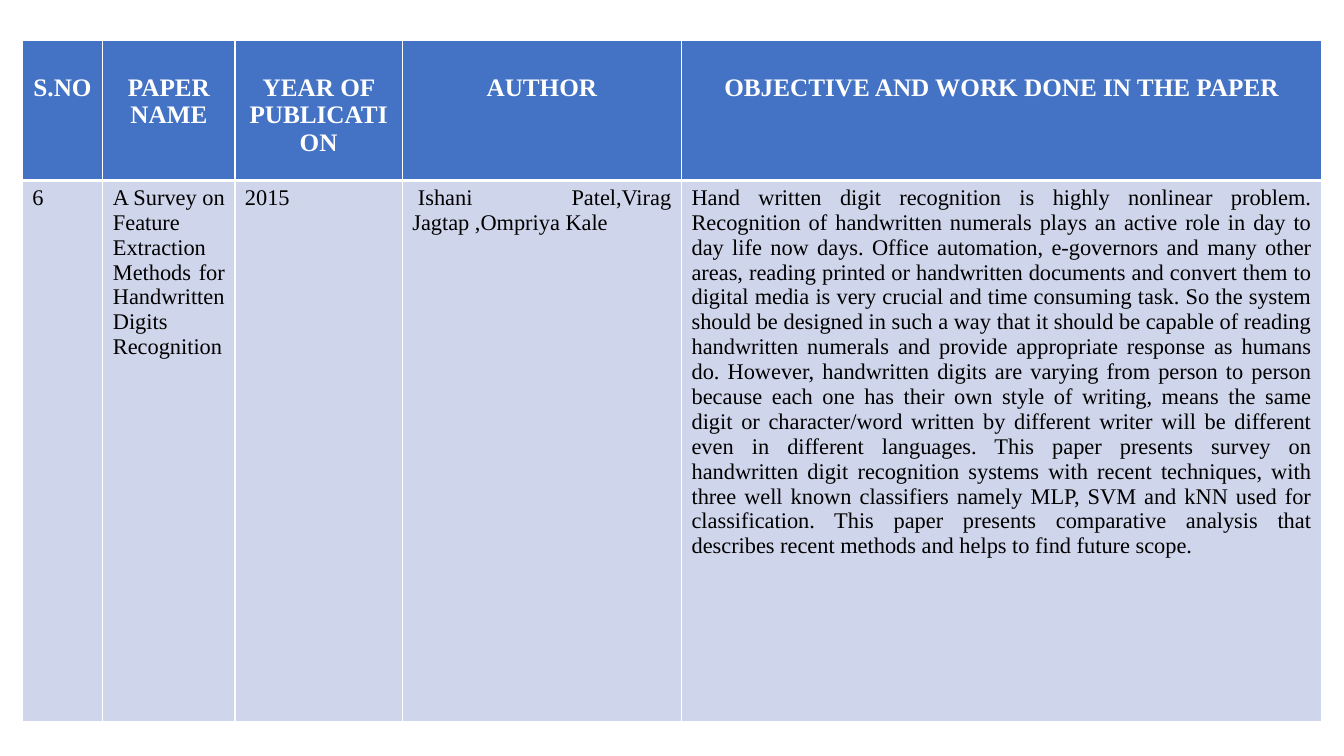
"""Build a slide with a one-row literature survey table."""
from lxml.etree import SubElement
from pptx import Presentation
from pptx.dml.color import RGBColor
from pptx.enum.text import PP_ALIGN as Align
from pptx.oxml.ns import qn
from pptx.util import Inches, Pt

WHITE = RGBColor(0xFF, 0xFF, 0xFF)
BLACK = RGBColor(0x00, 0x00, 0x00)
BLUE = RGBColor(0x44, 0x72, 0xC4)
PALE_BLUE = RGBColor(0xCF, 0xD5, 0xEA)

HEADER = {
    "fill": BLUE,
    "color": WHITE,
    "align": Align.CENTER,
    "font": {"name": "Times New Roman", "size": Pt(18), "bold": True},
    "cell": {"margin_top": Inches(0.33)},
    "borders": {"L": 1, "R": 1, "T": 1, "B": 3},
}
BODY = {
    "fill": PALE_BLUE,
    "color": BLACK,
    "align": Align.JUSTIFY,
    "font": {"name": "Times New Roman", "size": Pt(16), "bold": False},
    "cell": {"margin_top": Inches(0.05)},
    "borders": {"L": 1, "R": 1, "T": 3, "B": 1},
}

COLUMN_WIDTHS = [0.8, 1.31, 1.66, 2.77, 6.35]
ROW_HEIGHTS = [1.39, 5.37]
HEADINGS = [
    "S.NO",
    "PAPER NAME",
    "YEAR OF PUBLICATION",
    "AUTHOR",
    "OBJECTIVE AND WORK DONE IN THE PAPER",
]
OBJECTIVE = [
    "Hand written digit recognition is highly nonlinear problem.",
    "Recognition of handwritten numerals plays an active role in day to day life now "
    "days.",
    "Office automation, e-governors and many other areas, reading printed or "
    "handwritten documents and convert them to digital media is very crucial and time "
    "consuming task.",
    "So the system should be designed in such a way that it should be capable of "
    "reading handwritten numerals and provide appropriate response as humans do.",
    "However, handwritten digits are varying from person to person because each one "
    "has their own style of writing, means the same digit or character/word written by "
    "different writer will be different even in different languages.",
    "This paper presents survey on handwritten digit recognition systems with recent "
    "techniques, with three well known classifiers namely MLP, SVM and kNN used for "
    "classification.",
    "This paper presents comparative analysis that describes recent methods and helps "
    "to find future scope.",
]
PAPER = [
    "6",
    "A Survey on Feature Extraction Methods for Handwritten Digits Recognition",
    "2015",
    "\u00a0Ishani Patel,Virag Jagtap ,Ompriya Kale",
    " ".join(OBJECTIVE),
]


class SlideBuilder:
    def __init__(self, slide, border_color):
        self.slide = slide
        self.border_color = border_color

    def table(self, left, top, widths, heights, rows, styles):
        table = self.slide.shapes.add_table(
            len(heights), len(widths), Inches(left), Inches(top),
            Inches(sum(widths)), Inches(sum(heights))).table
        for column, width in zip(table.columns, widths):
            column.width = Inches(width)
        for row, height, texts, style in zip(table.rows, heights, rows, styles):
            row.height = Inches(height)
            for cell, text in zip(row.cells, texts):
                self.cell(cell, text, style)

    def cell(self, cell, text, style):
        for name, value in style["cell"].items():
            setattr(cell, name, value)
        cell.fill.solid()
        cell.fill.fore_color.rgb = style["fill"]
        paragraph = cell.text_frame.paragraphs[0]
        paragraph.alignment = style["align"]
        run = paragraph.add_run()
        run.text = text
        run.font.color.rgb = style["color"]
        for name, value in style["font"].items():
            setattr(run.font, name, value)
        self.borders(cell, style["borders"])

    def borders(self, cell, widths):
        properties = cell._tc.get_or_add_tcPr()
        for position, (side, width) in enumerate(widths.items()):
            line = SubElement(properties, qn(f"a:ln{side}"), w=str(Pt(width)))
            fill = SubElement(line, qn("a:solidFill"))
            SubElement(fill, qn("a:srgbClr"), val=str(self.border_color))
            properties.insert(position, line)


presentation = Presentation()
presentation.slide_width = Inches(13.33)
presentation.slide_height = Inches(7.5)
slide = presentation.slides.add_slide(presentation.slide_layouts[6])
builder = SlideBuilder(slide, WHITE)
builder.table(0.22, 0.4, COLUMN_WIDTHS, ROW_HEIGHTS, [HEADINGS, PAPER], [HEADER, BODY])
presentation.save("out.pptx")
